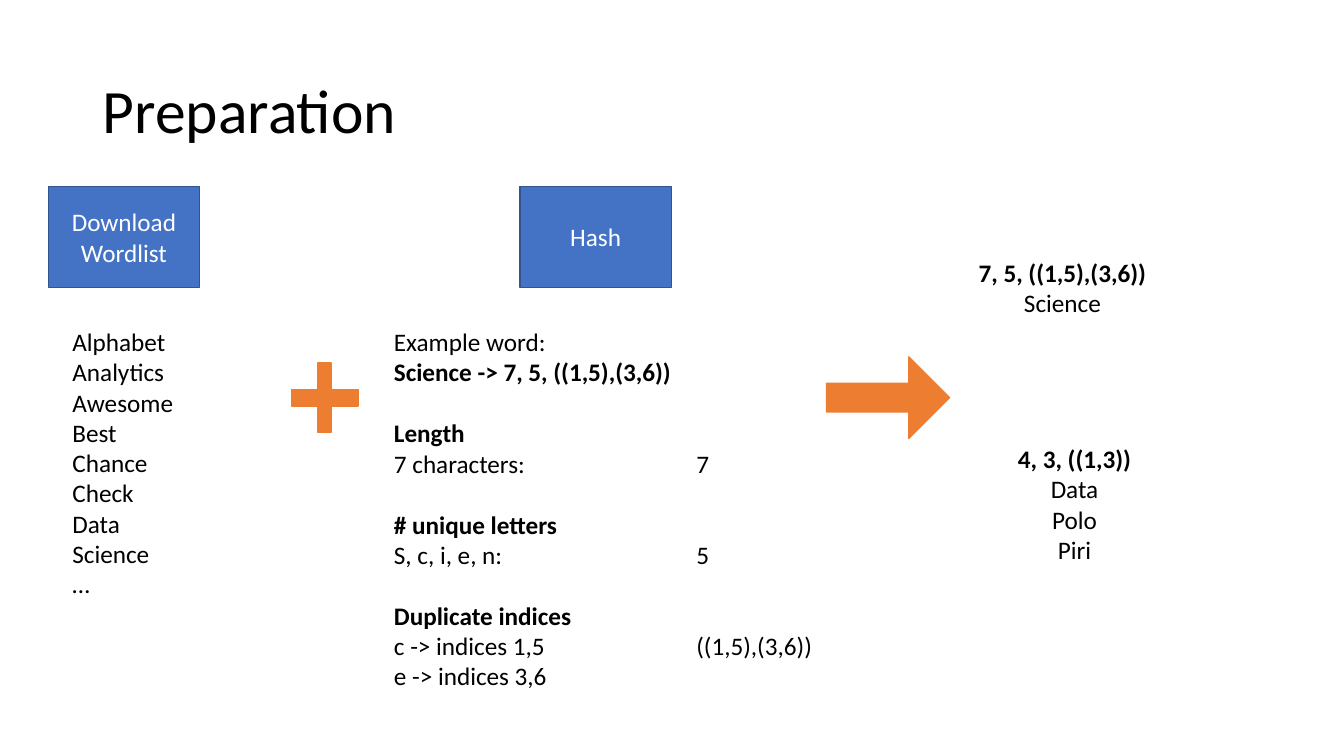
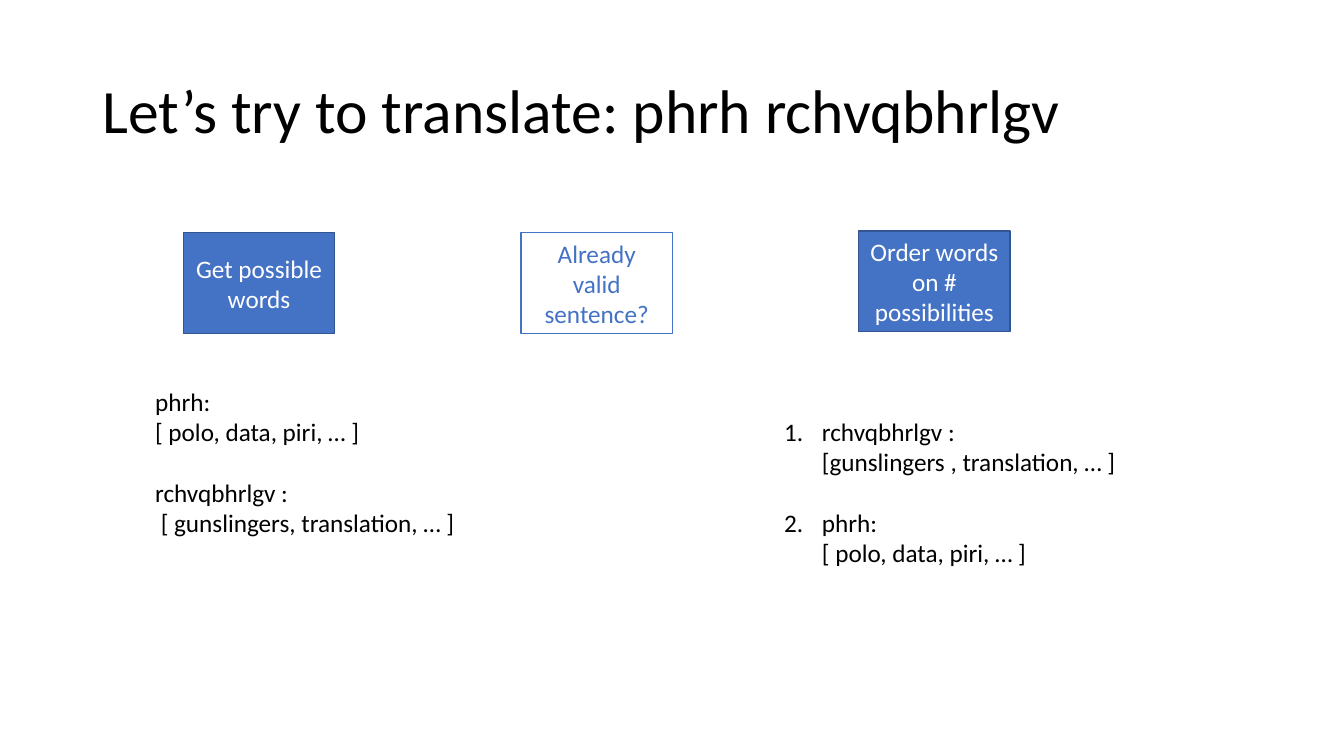
from dataclasses import dataclass

from lxml.etree import SubElement
from pptx import Presentation
from pptx.dml.color import RGBColor
from pptx.enum.shapes import MSO_SHAPE
from pptx.enum.text import MSO_ANCHOR, MSO_AUTO_SIZE, PP_ALIGN
from pptx.oxml.ns import qn
from pptx.util import Inches, Pt

COLORS = {
    "text": "000000",
    "white": "FFFFFF",
    "blue": "4472C4",
    "dark_blue": "325491",
    "orange": "ED7D31",
}
FONT = "Calibri"
BODY_SIZE = 18
TITLE_SIZE = 44
LINE_GAP = 22
CELL = Inches(0.1)
COLUMNS, ROWS = 133.33, 75
STEP_SIZE = (15, 10)
TAB_STOP = 30
NUMBER_INDENT = 3.75


@dataclass
class Box:
    """An area of the slide, in grid columns and rows."""
    left: float
    top: float
    width: float
    height: float

    def inside(self, column, row, width, height):
        """Return a box whose corner is relative to this one."""
        return Box(self.left + column, self.top + row, width, height)

    def below(self, column, row):
        """Return the rest of this box from a column and row on."""
        return self.inside(column, row, self.width - column, self.height - row)

    def lengths(self):
        """Return left, top, width and height as slide lengths."""
        return [cells(n) for n in (self.left, self.top, self.width, self.height)]


@dataclass
class Line:
    """One paragraph of body text."""
    text: str
    bold: bool = False
    gap: bool = False
    numbered: bool = False


def cells(count):
    """Convert grid cells to a slide length."""
    return int(count * CELL)


def color(name):
    """Look up a colour of the palette."""
    return RGBColor.from_string(COLORS[name])


def format_runs(paragraph, size=BODY_SIZE, color_name="text", bold=False):
    """Give all runs of a paragraph the same font."""
    for run in paragraph.runs:
        run.font.name = FONT
        run.font.size = Pt(size)
        run.font.bold = bold
        run.font.color.rgb = color(color_name)


def add_title_slide(presentation, title):
    """Add a title-only slide with its title formatted."""
    slide = presentation.slides.add_slide(presentation.slide_layouts[5])
    shape = slide.shapes.title
    shape.left, shape.top, shape.width, shape.height = Box(9.2, 4, 115, 14.5).lengths()
    frame = shape.text_frame
    frame.text = title
    frame.word_wrap = True
    frame.auto_size = MSO_AUTO_SIZE.NONE
    frame.vertical_anchor = MSO_ANCHOR.MIDDLE
    paragraph = frame.paragraphs[0]
    paragraph.alignment = PP_ALIGN.LEFT
    paragraph.line_spacing = 0.9
    format_runs(paragraph, TITLE_SIZE)
    return slide


def add_preset(slide, box, preset, fill, line, adjustments=()):
    """Add a preset shape; without a fill name it stays hollow."""
    shape = slide.shapes.add_shape(preset, *box.lengths())
    shape.shadow.inherit = False
    if fill:
        shape.fill.solid()
        shape.fill.fore_color.rgb = color(fill)
    else:
        shape.fill.background()
    shape.line.color.rgb = color(line)
    shape.line.width = Pt(1)
    for index, value in enumerate(adjustments):
        shape.adjustments[index] = value
    return shape


def add_step(slide, box, label, filled=True):
    """Add a labelled step rectangle."""
    fill, line, ink = ("blue", "dark_blue", "white") if filled else (None, "blue", "blue")
    shape = add_preset(slide, box, MSO_SHAPE.RECTANGLE, fill, line)
    frame = shape.text_frame
    frame.text = label
    frame.word_wrap = True
    frame.vertical_anchor = MSO_ANCHOR.MIDDLE
    for paragraph in frame.paragraphs:
        paragraph.alignment = PP_ALIGN.CENTER
        format_runs(paragraph, color_name=ink)


def add_number(paragraph):
    """Turn a paragraph into a numbered item."""
    properties = paragraph._p.get_or_add_pPr()
    properties.set("marL", str(cells(NUMBER_INDENT)))
    properties.set("indent", str(-cells(NUMBER_INDENT)))
    SubElement(properties, qn("a:buFont"), typeface="+mj-lt")
    SubElement(properties, qn("a:buAutoNum"), type="arabicPeriod")


def add_tab_stop(paragraph):
    """Give a paragraph one left tab stop."""
    tabs = SubElement(paragraph._p.get_or_add_pPr(), qn("a:tabLst"))
    SubElement(tabs, qn("a:tab"), pos=str(cells(TAB_STOP)), algn="l")


def add_lines(slide, box, lines, alignment=PP_ALIGN.LEFT):
    """Add a text box with one paragraph for each line."""
    frame = slide.shapes.add_textbox(*box.lengths()).text_frame
    frame.word_wrap = True
    for index, line in enumerate(lines):
        paragraph = frame.add_paragraph() if index else frame.paragraphs[0]
        paragraph.text = line.text
        paragraph.alignment = alignment
        format_runs(paragraph, bold=line.bold)
        if line.gap:
            paragraph.space_before = Pt(LINE_GAP)
        if line.numbered:
            add_number(paragraph)
        if "\t" in line.text:
            add_tab_stop(paragraph)


def add_step_column(slide, box, label, step_column, text_corner, lines):
    """Add a step at the top of a box and its details below."""
    add_step(slide, box.inside(step_column, 0, *STEP_SIZE), label)
    add_lines(slide, box.below(*text_corner), lines)


def add_result(slide, box, key, words):
    """Add a hash key with the words that share it."""
    lines = [Line(key, bold=True)] + [Line(word) for word in words]
    add_lines(slide, box, lines, PP_ALIGN.CENTER)


def add_preparation_slide(presentation):
    """Show how the word list is hashed."""
    slide = add_title_slide(presentation, "Preparation")
    words = ["Alphabet", "Analytics", "Awesome", "Best", "Chance", "Check",
             "Data", "Science", "…"]
    add_step_column(slide, Box(4.8, 18.5, 15, 44.7), "Download\nWordlist", 0,
                    (1.4, 13.4), [Line(word) for word in words])
    add_step_column(slide, Box(38.1, 18.5, 44, 50.8), "Hash", 13.5, (0, 13.4), [
        Line("Example word:"),
        Line("Science -> 7, 5, ((1,5),(3,6))", bold=True),
        Line("Length", bold=True, gap=True),
        Line("7 characters:\t7"),
        Line("# unique letters", bold=True, gap=True),
        Line("S, c, i, e, n:\t5"),
        Line("Duplicate indices", bold=True, gap=True),
        Line("c -> indices 1,5\t((1,5),(3,6))"),
        Line("e -> indices 3,6"),
    ])
    add_result(slide, Box(96, 25, 18.8, 7.1), "7, 5, ((1,5),(3,6))", ["Science"])
    add_result(slide, Box(99.9, 43.5, 13.4, 13.1), "4, 3, ((1,3))",
               ["Data", "Polo", "Piri"])
    add_preset(slide, Box(82, 35.4, 12.2, 8.1), MSO_SHAPE.RIGHT_ARROW,
               "orange", "orange", (0.35, 0.5))
    add_preset(slide, Box(28.9, 36, 6.6, 6.9), MSO_SHAPE.CROSS,
               "orange", "orange", (0.4,))


def add_translation_slide(presentation):
    """Show the steps of translating a sentence."""
    slide = add_title_slide(presentation, "Let’s try to translate: phrh rchvqbhrlgv")
    add_step_column(slide, Box(14.4, 23.1, 32.1, 33.9), "Get possible words", 3.8,
                    (0, 14.7), [
        Line("phrh:"),
        Line("[ polo, data, piri, … ]"),
        Line("rchvqbhrlgv :", gap=True),
        Line(" [ gunslingers, translation, … ]"),
    ])
    add_step(slide, Box(51.7, 23.1, *STEP_SIZE), "Already valid sentence?", filled=False)
    add_step_column(slide, Box(76.8, 22.9, 39.8, 34.1), "Order words on # possibilities",
                    8.4, (0, 17.9), [
        Line("rchvqbhrlgv :\v[gunslingers , translation, … ]", numbered=True),
        Line("phrh:\v[ polo, data, piri, … ]", gap=True, numbered=True),
    ])


def main():
    """Build and save the presentation."""
    presentation = Presentation()
    presentation.slide_width = cells(COLUMNS)
    presentation.slide_height = cells(ROWS)
    add_preparation_slide(presentation)
    add_translation_slide(presentation)
    presentation.save("out.pptx")


if __name__ == "__main__":
    main()
